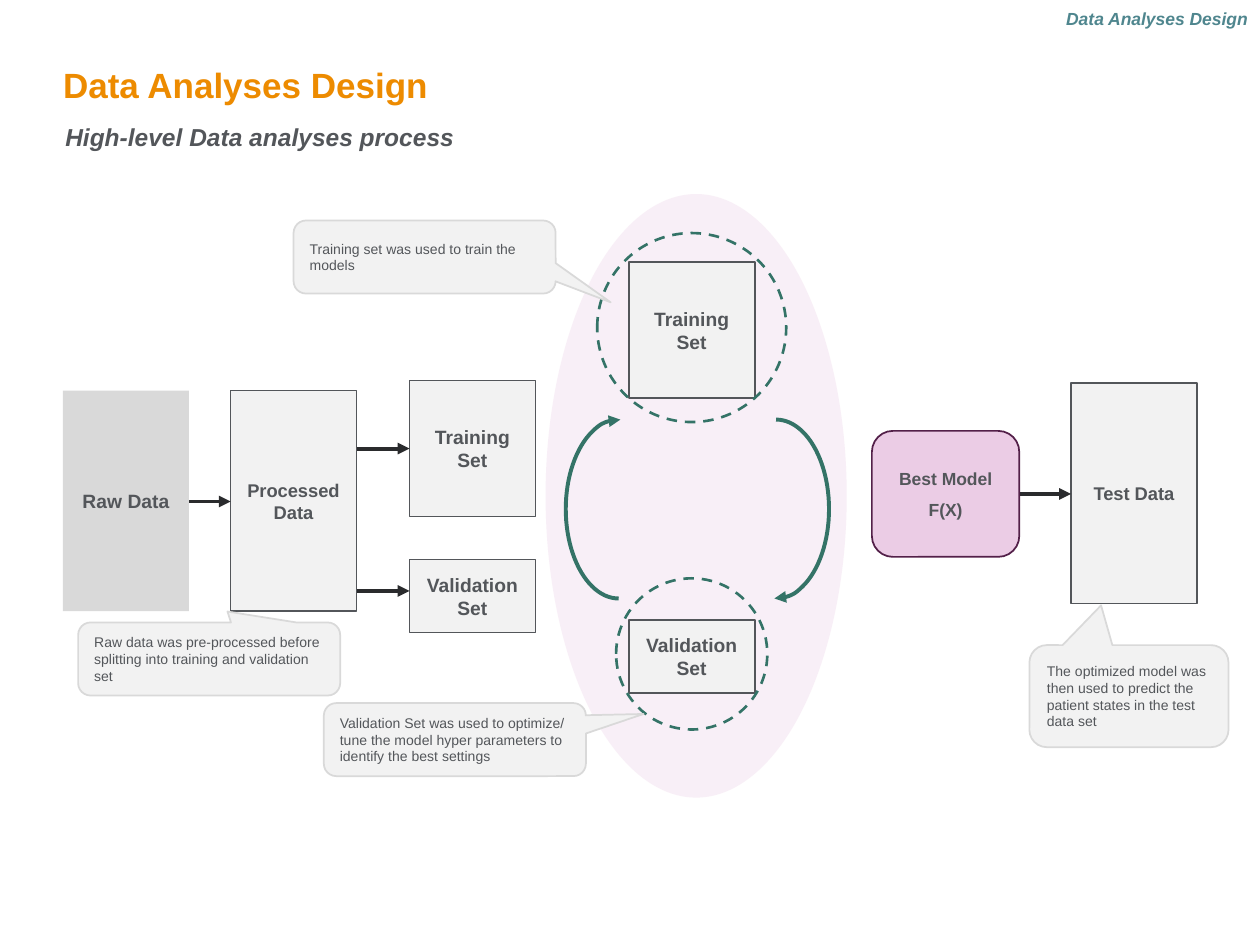
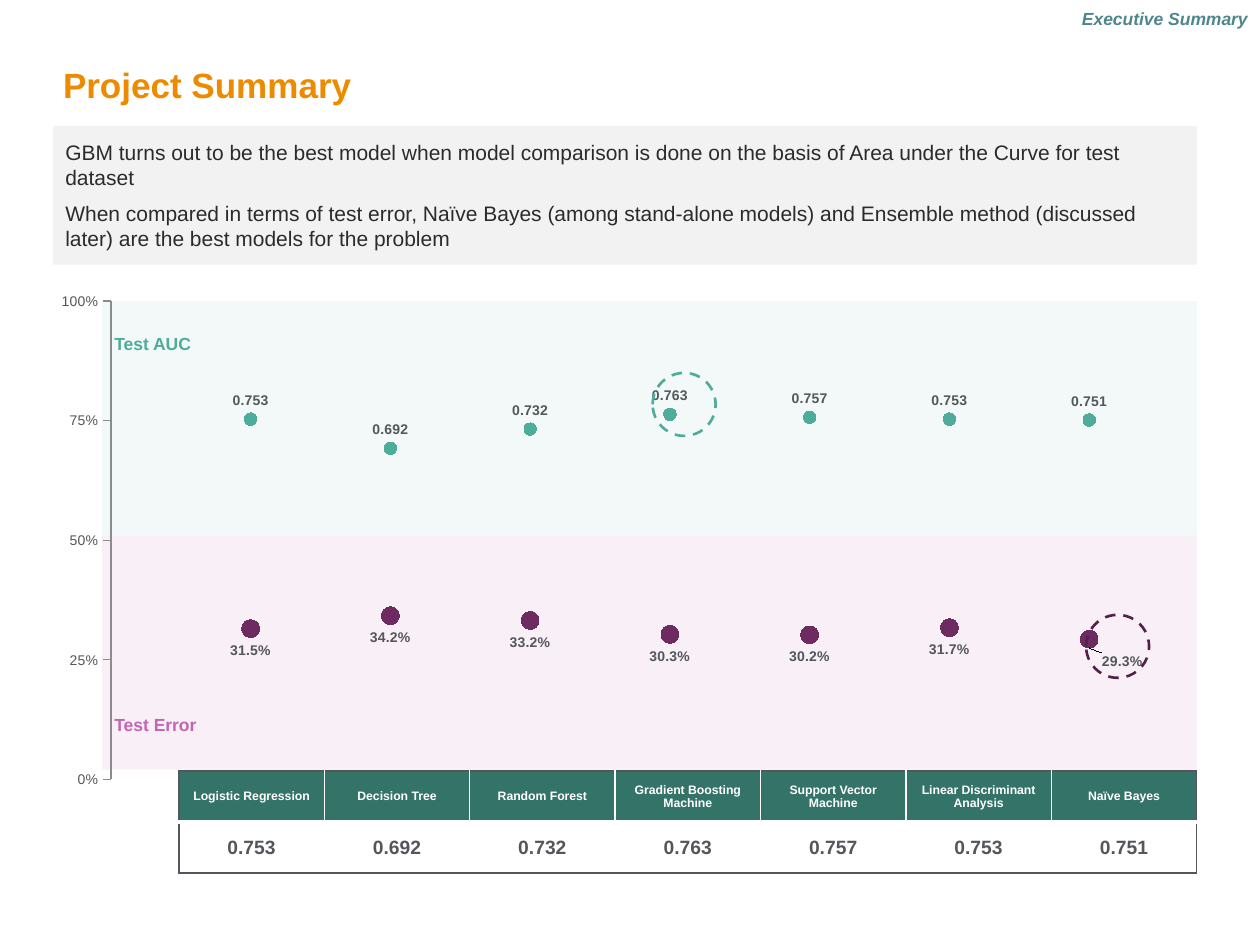
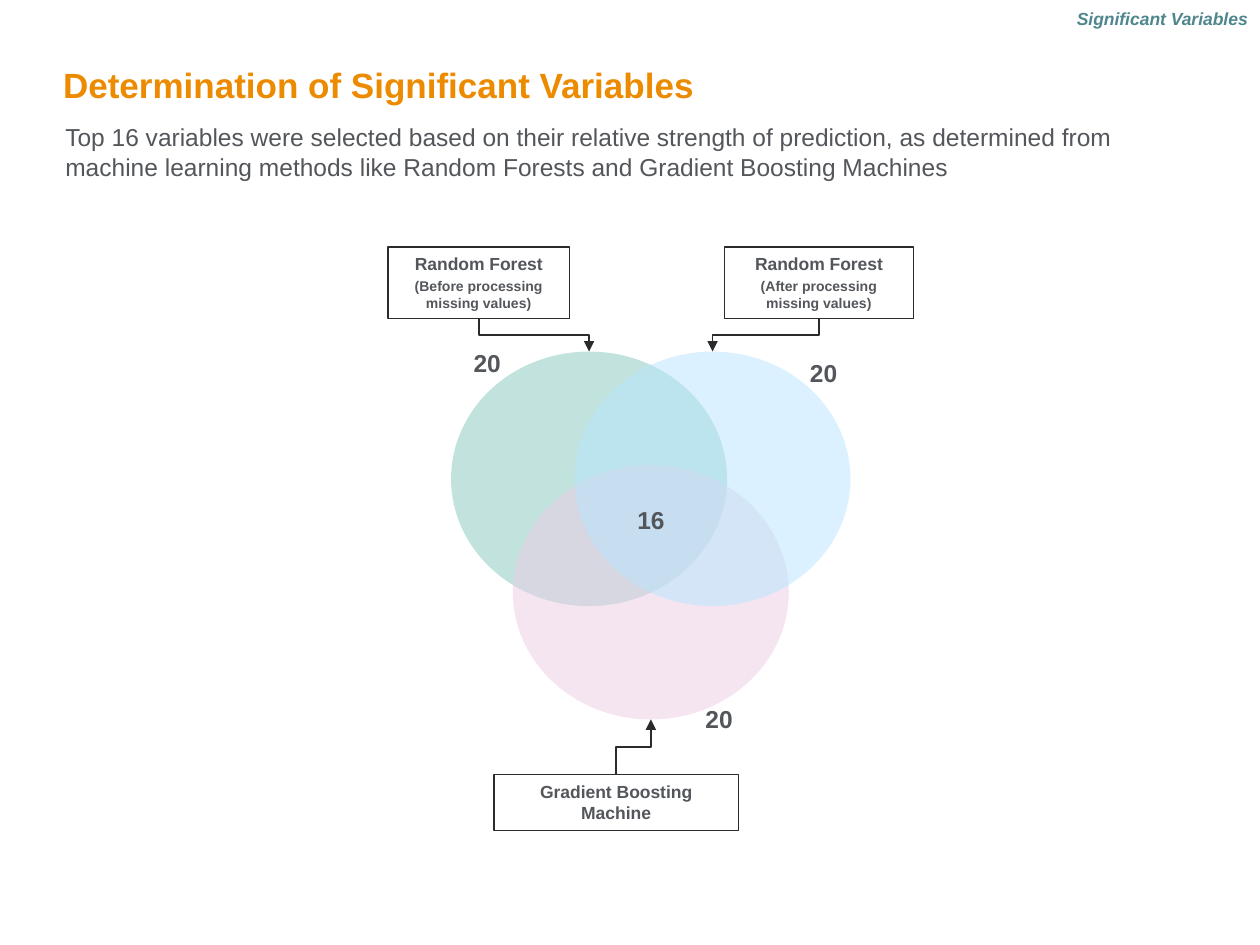
import pptx
import pptx.chart.data
import pptx.chart.datalabel
import pptx.dml.color
import pptx.enum.chart
import pptx.enum.dml
import pptx.enum.shapes
import pptx.enum.text
import pptx.oxml.ns
import pptx.util
from lxml import etree

Inches, Pt = pptx.util.Inches, pptx.util.Pt
qn = pptx.oxml.ns.qn
SHAPE = pptx.enum.shapes.MSO_SHAPE
LINK = pptx.enum.shapes.MSO_CONNECTOR
ALIGN = pptx.enum.text.PP_ALIGN
ANCHOR = pptx.enum.text.MSO_ANCHOR
LABEL = pptx.enum.chart.XL_LABEL_POSITION

FONT = "Arial"
C = {
    "title": "ED8B00", "tag": "4F868E", "text": "53565A", "dark": "2A2B2D", "white": "FFFFFF",
    "pale": "F2F2F2", "grey": "D9D9D9", "axis": "8A8C8E", "green": "347367", "teal": "4EAC9B",
    "mint": "86C8BC", "ice": "E7F4F2", "sky": "B8E5FF", "pink": "EBCCE5", "blush": "F3E1F0",
    "orchid": "C365B2", "purple": "6E2B62", "plum": "532049",
}

# Slide 1: text, (left, top, width, height), size, fill, line
FLOW = [
    ("Raw Data", (0.5, 3.1, 1, 1.75), 11, "grey", None),
    ("Processed Data", (1.83, 3.1, 1, 1.75), 10.5, "pale", "text"),
    ("Training Set", (3.25, 3.02, 1, 1.08), 11, "pale", "text"),
    ("Validation Set", (3.25, 4.44, 1, 0.58), 11, "pale", "text"),
    ("Training Set", (4.99, 2.08, 1, 1.08), 11, "pale", "text"),
    ("Validation Set", (4.99, 4.92, 1, 0.58), 11, "pale", "text"),
    ("Test Data", (8.5, 3.04, 1, 1.75), 10.5, "pale", "text"),
]
FLOW_ARROWS = [(1.5, 1.83, 3.98), (2.83, 3.25, 3.56), (2.83, 3.25, 4.69), (8.08, 8.5, 3.92)]
SET_RINGS = [(4.89, 4.59, 1.2, 1.2), (4.74, 1.85, 1.5, 1.5)]
LOOP_ARCS = [(5.74, 0), (4.49, 180)]
CALLOUTS = [
    ("Training set was used to train the models",
     (2.33, 1.75, 2.08, 0.58), (0.71, 0.62, 0.17)),
    ("Validation Set was used to optimize/ tune the model hyper parameters to identify "
     "the best settings", (2.57, 5.58, 2.08, 0.58), (0.72, -0.35, 0.17)),
    ("The optimized model was then used to predict the patient states in the test data set",
     (8.17, 5.12, 1.58, 0.81), (-0.14, -0.89, 0.17)),
    ("Raw data was pre-processed before splitting into training and validation set",
     (0.62, 4.94, 2.08, 0.58), (0.07, -0.65, 0.17)),
]

# Slide 2
FINDINGS = [
    "GBM turns out to be the best model when model comparison is done on the basis of Area "
    "under the Curve for test dataset",
    "When compared in terms of test error, Naïve Bayes (among stand-alone models) and Ensemble "
    "method (discussed later) are the best models for the problem",
]
MODELS = [  # name, test error, test AUC
    ("Logistic Regression", 0.315, 0.753),
    ("Decision Tree", 0.342, 0.692),
    ("Random Forest", 0.332, 0.732),
    ("Gradient Boosting Machine", 0.303, 0.763),
    ("Support Vector Machine", 0.302, 0.757),
    ("Linear Discriminant Analysis", 0.317, 0.753),
    ("Naïve Bayes", 0.293, 0.751),
]
SERIES = [  # name, column in MODELS, colour, marker size, number format, label position
    ("Test Error", 1, "purple", 10, "0.0%", LABEL.BELOW),
    ("Test AUC", 2, "teal", 7, "0.000", LABEL.ABOVE),
]
BANDS = [("Test Error", 4.25, "blush", 5.62, "orchid"), ("Test AUC", 2.39, "ice", 2.59, "teal")]
BEST_RINGS = [((5.18, 2.96, 0.5, 0.5), "teal"), ((8.62, 4.88, 0.5, 0.5), "plum")]
PLOT_AREA = {"x": 0.063, "y": 0.034, "w": 0.889, "h": 0.931}

# Slide 3
VARIABLES_NOTE = (
    "Top 16 variables were selected based on their relative strength of prediction, as determined "
    "from machine learning methods like Random Forests and Gradient Boosting Machines")
VENN_X, VENN_Y, VENN_W, VENN_H, VENN_DX, VENN_DY = 3.58, 2.79, 2.19, 2.02, 0.49, 0.9
VENN = [  # column, row, colour, box lines, box place
    (0, 0, "mint", ["Random Forest", "(Before processing missing values)"],
     (3.08, 1.96, 1.44, 0.57)),
    (1, 1, "pink", ["Gradient Boosting Machine"], (3.92, 6.15, 1.94, 0.44)),
    (2, 0, "sky", ["Random Forest", "(After processing missing values)"],
     (5.75, 1.96, 1.5, 0.57)),
]
COUNTS = [("20", 3.66, 2.71), ("20", 6.33, 2.79), ("20", 5.5, 5.54), ("16", 4.96, 3.96)]


def rgb(name):
    return pptx.dml.color.RGBColor.from_string(C[name])


def box(at):
    return [Inches(v) for v in at]


def style(font, size, color, bold=False, italic=False):
    font.name, font.size, font.bold, font.italic = FONT, Pt(size), bold, italic
    font.color.rgb = rgb(color)


def write(tf, lines, size, color="text", bold=False, italic=False,
          align=ALIGN.LEFT, anchor=ANCHOR.TOP, after=0):
    tf.text = "\n".join(lines)
    tf.vertical_anchor = anchor
    for p in tf.paragraphs:
        p.alignment, p.space_before, p.space_after = align, Pt(0), Pt(after)
        for r in p.runs:
            style(r.font, size, color, bold, italic)


def add_text(s, at, text, size, color="text", wrap=True, **kw):
    tf = s.shapes.add_textbox(*box(at)).text_frame
    tf.word_wrap = wrap
    write(tf, [text], size, color, **kw)


def add_shape(s, kind, at, fill=None, line=None, width=1.0, alpha=None, dash=False):
    sp = s.shapes.add_shape(kind, *box(at))
    sp.shadow.inherit = False
    if fill:
        sp.fill.solid()
        sp.fill.fore_color.rgb = rgb(fill)
        if alpha:
            clr = sp._element.spPr.find(qn("a:solidFill"))[0]
            etree.SubElement(clr, qn("a:alpha"), val=str(alpha * 1000))
    else:
        sp.fill.background()
    if line:
        sp.line.color.rgb = rgb(line)
        sp.line.width = Pt(width)
        if dash:
            sp.line.dash_style = pptx.enum.dml.MSO_LINE.DASH
    else:
        sp.line.fill.background()
    return sp


def add_head(line):
    etree.SubElement(line._get_or_add_ln(), qn("a:tailEnd"), type="triangle")


def add_arrow(s, kind, start, end, width):
    c = s.shapes.add_connector(kind, *box(start + end))
    c.line.color.rgb = rgb("dark")
    c.line.width = Pt(width)
    add_head(c.line)
    etree.SubElement(c._element.spPr, qn("a:effectLst"))
    return c


def add_vertical_elbow(s, start, end, start_site, end_site):
    """Elbow that leaves and arrives vertically; each site is (shape, site index)."""
    c = add_arrow(s, LINK.ELBOW, start, end, 1)
    (x1, y1), (x2, y2) = start, end
    w, h = abs(y2 - y1), abs(x2 - x1)
    c.left, c.top, c.width, c.height = box(((x1 + x2 - w) / 2, (y1 + y2 - h) / 2, w, h))
    xfrm = c._element.spPr.find(qn("a:xfrm"))
    xfrm.set("rot", str(90 * 60000))
    xfrm.set("flipH", str(int(y2 < y1)))
    xfrm.set("flipV", str(int(x2 > x1)))
    for tag, (sp, site) in (("a:stCxn", start_site), ("a:endCxn", end_site)):
        etree.SubElement(c._element.nvCxnSpPr.cNvCxnSpPr, qn(tag),
                         id=str(sp.shape_id), idx=str(site))


def add_slide(prs, title, tag):
    s = prs.slides.add_slide(prs.slide_layouts[5])
    sp = s.shapes.title
    sp.left, sp.top, sp.width, sp.height = box((0.5, 0.5, 9, 0.34))
    tf = sp.text_frame
    tf.margin_left = tf.margin_top = tf.margin_right = tf.margin_bottom = 0
    tf.auto_size = pptx.enum.text.MSO_AUTO_SIZE.NONE
    write(tf, [title], 20, "title", bold=True, anchor=ANCHOR.BOTTOM)
    add_text(s, (7.75, 0, 2.25, 0.3), tag, 10, "tag", bold=True, italic=True,
             align=ALIGN.RIGHT, anchor=ANCHOR.MIDDLE)
    return s


def build_design(prs):
    s = add_slide(prs, "Data Analyses Design", "Data Analyses Design")
    add_shape(s, SHAPE.OVAL, (4.33, 1.54, 2.39, 4.79), "pink", alpha=30)
    add_text(s, (0.42, 0.92, 8.83, 0.34), "High-level Data analyses process", 14,
             bold=True, italic=True)
    centred = {"bold": True, "align": ALIGN.CENTER, "anchor": ANCHOR.MIDDLE, "after": 6}
    for text, at, size, fill, line in FLOW:
        write(add_shape(s, SHAPE.RECTANGLE, at, fill, line).text_frame, [text], size, **centred)
    for x1, x2, y in FLOW_ARROWS:
        add_arrow(s, LINK.STRAIGHT, (x1, y), (x2, y), 2.25)
    for at in SET_RINGS:
        add_shape(s, SHAPE.OVAL, at, line="green", width=1.5, dash=True)
    for left, turn in LOOP_ARCS:
        sp = add_shape(s, SHAPE.ARC, (left, 3.33, 0.84, 1.42), line="green", width=2.25)
        sp.adjustments[0], sp.adjustments[1] = 162, 54.65
        sp.rotation = turn
        add_head(sp.line)
    model = add_shape(s, SHAPE.ROUNDED_RECTANGLE, (6.92, 3.42, 1.17, 1), "pink", "plum")
    write(model.text_frame, ["Best Model", "F(X)"], 10, **centred)
    for text, at, pointer in CALLOUTS:
        sp = add_shape(s, SHAPE.ROUNDED_RECTANGULAR_CALLOUT, at, "pale", "grey")
        for i, value in enumerate(pointer):
            sp.adjustments[i] = value
        write(sp.text_frame, [text], 8, anchor=ANCHOR.MIDDLE)


def set_border(cell, side, color, width):
    ln = etree.SubElement(cell._tc.get_or_add_tcPr(), qn("a:ln" + side), w=str(Pt(width)))
    fill = etree.SubElement(ln, qn("a:solidFill"))
    etree.SubElement(fill, qn("a:srgbClr"), val=C[color])


def add_scores_table(s):
    rows = [[m[0] for m in MODELS], [f"{m[2]:.3f}" for m in MODELS]]
    looks = [(7, "white", "green"), (11, "text", "white")]
    last = len(MODELS) - 1
    t = s.shapes.add_table(2, len(MODELS), *box((1.42, 6.12, 8.08, 0.81))).table
    t.first_row = t.horz_banding = False
    for i, (row, (size, color, fill)) in enumerate(zip(rows, looks)):
        for j, text in enumerate(row):
            cell = t.cell(i, j)
            write(cell.text_frame, [text], size, color, bold=True, align=ALIGN.CENTER)
            cell.vertical_anchor = ANCHOR.MIDDLE
            set_border(cell, "L", "text" if j == 0 else "white", 1)
            set_border(cell, "R", "text" if j == last else "white", 1)
            set_border(cell, "T", "text" if i == 0 else "white", 1 if i == 0 else 3)
            set_border(cell, "B", "text" if i == 1 else "white", 1 if i == 1 else 3)
            cell.fill.solid()
            cell.fill.fore_color.rgb = rgb(fill)


def add_layout(parent, index, shares):
    layout = etree.Element(qn("c:layout"))
    manual = etree.SubElement(layout, qn("c:manualLayout"))
    if "w" in shares:
        etree.SubElement(manual, qn("c:layoutTarget"), val="inner")
        for axis in "xy":
            etree.SubElement(manual, qn(f"c:{axis}Mode"), val="edge")
    for key, value in shares.items():
        etree.SubElement(manual, qn("c:" + key), val=str(value))
    for old in parent.findall(qn("c:layout")):
        parent.remove(old)
    parent.insert(index, layout)


def add_scores_chart(s):
    data = pptx.chart.data.XyChartData()
    for name, column, _, _, fmt, _ in SERIES:
        series = data.add_series(name, number_format=fmt)
        for x, model in enumerate(MODELS, 1):
            series.add_data_point(x, model[column])
    chart = s.shapes.add_chart(pptx.enum.chart.XL_CHART_TYPE.XY_SCATTER,
                               *box((0.33, 2.25, 8.74, 4.08)), data).chart
    chart.has_legend = chart.has_title = False
    style(chart.font, 8, "text")
    plot = chart.plots[0]
    plot.vary_by_categories = False
    add_layout(chart._chartSpace.chart.plotArea, 0, PLOT_AREA)

    for axis, top, unit in ((chart.category_axis, 7, 1), (chart.value_axis, 1, 0.25)):
        axis.minimum_scale, axis.maximum_scale, axis.major_unit = 0, top, unit
        axis.has_major_gridlines = False
    chart.category_axis.visible = False
    axis = chart.value_axis
    axis.major_tick_mark = pptx.enum.chart.XL_TICK_MARK.OUTSIDE
    axis.tick_labels.number_format = "0%"
    axis.tick_labels.number_format_is_linked = False
    style(axis.tick_labels.font, 8, "text")
    axis.format.line.color.rgb = rgb("axis")

    for series, (_, _, color, size, fmt, position) in zip(plot.series, SERIES):
        series.format.line.fill.background()
        marker = series.marker
        marker.style = pptx.enum.chart.XL_MARKER_STYLE.CIRCLE
        marker.size = size
        marker.format.fill.solid()
        marker.format.fill.fore_color.rgb = rgb(color)
        marker.format.line.fill.background()
        labels = pptx.chart.datalabel.DataLabels(series._element.get_or_add_dLbls())
        labels.show_value = True
        labels.number_format, labels.number_format_is_linked = fmt, False
        labels.position = position
        style(labels.font, 8, "text", bold=True)

    best_error = plot.series[0].points[len(MODELS) - 1].data_label
    style(best_error.font, 8, "text", bold=True)
    best_error.position = LABEL.BELOW
    label = best_error._get_or_add_dLbl()
    add_layout(label, 1, {"x": 0.03, "y": 0})
    label.insert(2, etree.Element(qn("c:numFmt"), formatCode="0.0%", sourceLinked="0"))


def build_summary(prs):
    s = add_slide(prs, "Project Summary", "Executive Summary")
    for _, top, fill, _, _ in BANDS:
        add_shape(s, SHAPE.RECTANGLE, (0.81, top, 8.69, 1.86), fill, alpha=50)
    add_scores_table(s)
    add_scores_chart(s)
    for at, color in BEST_RINGS:
        add_shape(s, SHAPE.OVAL, at, line=color, width=1.5, dash=True)
    for name, _, _, top, color in BANDS:
        add_text(s, (0.81, top, 0.87, 0.27), name, 10, color, wrap=False, bold=True)
    panel = add_shape(s, SHAPE.RECTANGLE, (0.42, 1, 9.08, 1.1), "pale")
    write(panel.text_frame, FINDINGS, 12, "dark", anchor=ANCHOR.MIDDLE, after=6)


def build_variables(prs):
    s = add_slide(prs, "Determination of Significant Variables", "Significant Variables")
    add_text(s, (0.42, 0.92, 8.83, 0.57), VARIABLES_NOTE, 14)
    circles = [add_shape(s, SHAPE.OVAL, (VENN_X + col * VENN_DX, VENN_Y + row * VENN_DY,
                                         VENN_W, VENN_H), color, alpha=50)
               for col, row, color, _, _ in VENN]
    for text, left, top in COUNTS:
        add_text(s, (left, top, 0.42, 0.34), text, 14, wrap=False, bold=True)
    for circle, (col, row, _, lines, at) in zip(circles, VENN):
        sp = add_shape(s, SHAPE.RECTANGLE, at, line="dark", width=0.75)
        tf = sp.text_frame
        write(tf, lines, 10, bold=True, align=ALIGN.CENTER)
        for p in tf.paragraphs[1:]:
            p.space_before = Pt(2)
            p.runs[0].font.size = Pt(8)
        left, top, width, height = at
        x, y = VENN_X + col * VENN_DX + VENN_W / 2, VENN_Y + row * VENN_DY
        if row:
            add_vertical_elbow(s, (left + width / 2, top), (x, y + VENN_H), (sp, 0), (circle, 4))
        else:
            add_vertical_elbow(s, (left + width / 2, top + height), (x, y), (sp, 2), (circle, 0))


def main():
    prs = pptx.Presentation()
    prs.slide_width, prs.slide_height = Inches(10), Inches(7.5)
    build_design(prs)
    build_summary(prs)
    build_variables(prs)
    prs.save("out.pptx")


if __name__ == "__main__":
    main()
